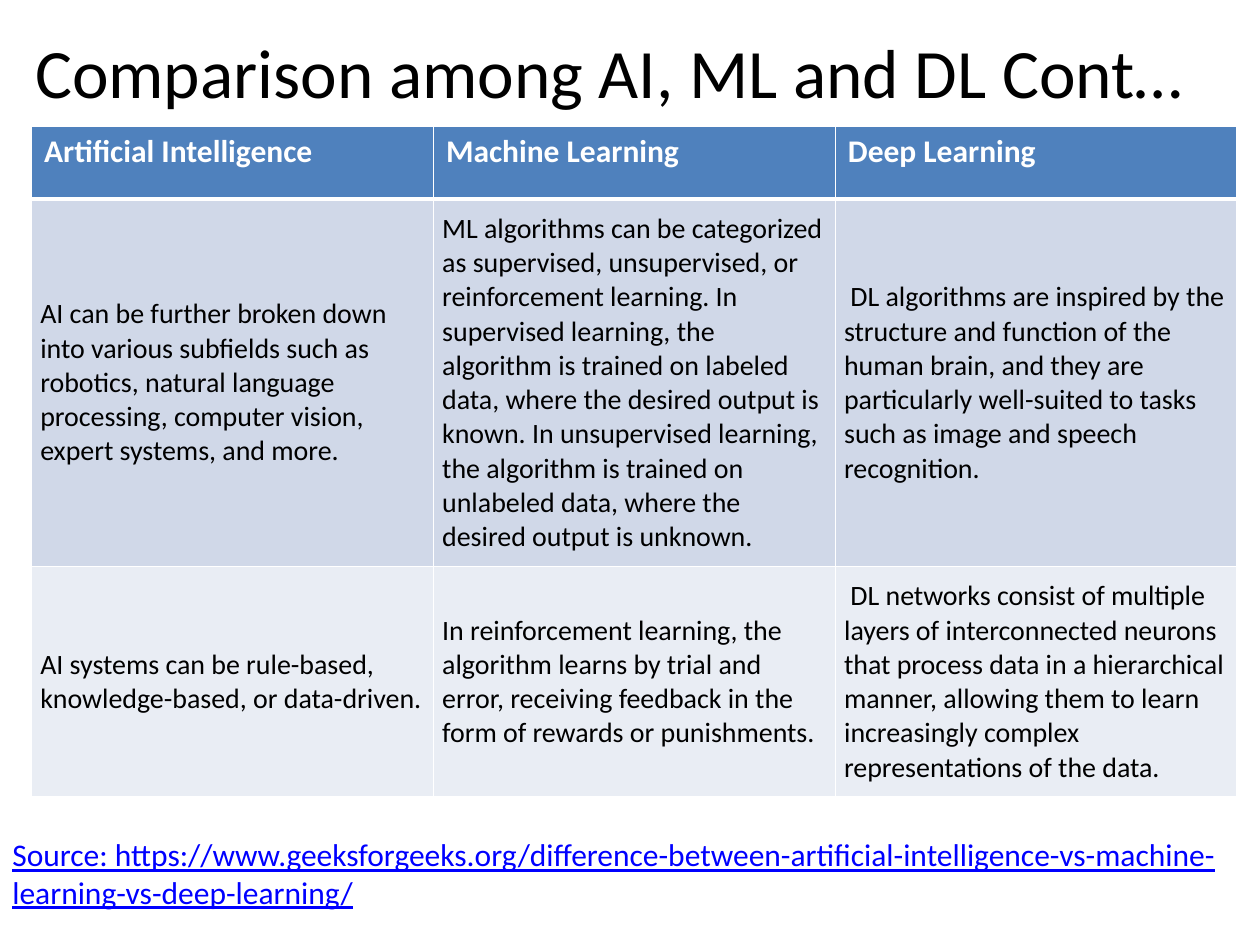
from lxml import etree
from pptx import Presentation
from pptx.dml.color import RGBColor
from pptx.enum.text import MSO_ANCHOR, MSO_AUTO_SIZE, PP_ALIGN
from pptx.oxml.ns import qn
from pptx.util import Inches, Pt

MIDDLE, TOP = MSO_ANCHOR.MIDDLE, MSO_ANCHOR.TOP
CENTER, LEFT = PP_ALIGN.CENTER, PP_ALIGN.LEFT
NO_AUTOFIT = MSO_AUTO_SIZE.NONE

BLACK = RGBColor(0x00, 0x00, 0x00)
WHITE = RGBColor(0xFF, 0xFF, 0xFF)
LINK_BLUE = RGBColor(0x00, 0x00, 0xFF)
HEADER_BLUE = RGBColor(0x4F, 0x81, 0xBD)
BAND_DARK = RGBColor(0xD0, 0xD8, 0xE8)
BAND_LIGHT = RGBColor(0xE9, 0xED, 0xF4)
ROW_FILLS = [HEADER_BLUE, BAND_DARK, BAND_LIGHT]
ROW_HEIGHTS = [0.58, 2.45, 1.72]
COLUMN_WIDTH = 3.19

CELL_TEXTS = [
    ["Artificial Intelligence", "Machine Learning", "Deep Learning"],
    [
        "AI can be further broken down into various subfields such as robotics, "
        "natural language processing, computer vision, expert systems, and more.",
        "ML algorithms can be categorized as supervised, unsupervised, or "
        "reinforcement learning. In supervised learning, the algorithm is trained on "
        "labeled data, where the desired output is known. In unsupervised learning, "
        "the algorithm is trained on unlabeled data, where the desired output is unknown.",
        " DL algorithms are inspired by the structure and function of the human brain, "
        "and they are particularly well-suited to tasks such as image and speech "
        "recognition.",
    ],
    [
        "AI systems can be rule-based, knowledge-based, or data-driven.",
        "In reinforcement learning, the algorithm learns by trial and error, receiving "
        "feedback in the form of rewards or punishments.",
        " DL networks consist of multiple layers of interconnected neurons that process "
        "data in a hierarchical manner, allowing them to learn increasingly complex "
        "representations of the data.",
    ],
]


def format_text(text_frame, size, color, alignment=LEFT, bold=False, underline=False):
    paragraph = text_frame.paragraphs[0]
    paragraph.alignment = alignment
    font = paragraph.runs[0].font
    font.name = "Calibri"
    font.size = Pt(size)
    font.bold = bold
    font.underline = underline
    font.color.rgb = color


def set_borders(cell, bottom_width, top_width):
    properties = cell._tc.get_or_add_tcPr()
    widths = {"lnL": 1, "lnR": 1, "lnT": top_width, "lnB": bottom_width}
    for position, (side, width) in enumerate(widths.items()):
        line = etree.Element(qn(f"a:{side}"), w=str(Pt(width)))
        fill = etree.SubElement(line, qn("a:solidFill"))
        etree.SubElement(fill, qn("a:srgbClr"), val=str(WHITE))
        properties.insert(position, line)


presentation = Presentation()
presentation.slide_width = Inches(10)
presentation.slide_height = Inches(7.5)
slide = presentation.slides.add_slide(presentation.slide_layouts[5])

# Title
title = slide.shapes.title
title.left, title.top = Inches(0), Inches(0.17)
title.width, title.height = Inches(9.67), Inches(0.78)
title.text_frame.text = "Comparison among AI, ML and DL Cont…"
title.text_frame.vertical_anchor = MIDDLE
title.text_frame.auto_size = NO_AUTOFIT
format_text(title.text_frame, 39.6, BLACK, CENTER)

# Comparison table
table = slide.shapes.add_table(
    3, 3, Inches(0.25), Inches(1), Inches(3 * COLUMN_WIDTH), Inches(sum(ROW_HEIGHTS))
).table
for column in table.columns:
    column.width = Inches(COLUMN_WIDTH)
for row_index, texts in enumerate(CELL_TEXTS):
    table.rows[row_index].height = Inches(ROW_HEIGHTS[row_index])
    is_header = row_index == 0
    for column_index, text in enumerate(texts):
        cell = table.cell(row_index, column_index)
        cell.text_frame.text = text
        cell.fill.solid()
        cell.fill.fore_color.rgb = ROW_FILLS[row_index]
        set_borders(cell, 3 if is_header else 1, 3 if row_index == 1 else 1)
        if is_header:
            cell.vertical_anchor = TOP
            format_text(cell.text_frame, 18, WHITE, bold=True)
        else:
            cell.vertical_anchor = MIDDLE
            cell.margin_left = cell.margin_right = Inches(0.07)
            cell.margin_top = cell.margin_bottom = Inches(0.1)
            format_text(cell.text_frame, 16, BLACK)

# Source line
source = slide.shapes.add_textbox(Inches(0), Inches(6.58), Inches(10), Inches(1.01))
source.text_frame.word_wrap = True
source.text_frame.text = (
    "Source: https://www.geeksforgeeks.org/"
    "difference-between-artificial-intelligence-vs-machine-learning-vs-deep-learning/"
)
format_text(source.text_frame, 18, LINK_BLUE, underline=True)

presentation.save("out.pptx")
